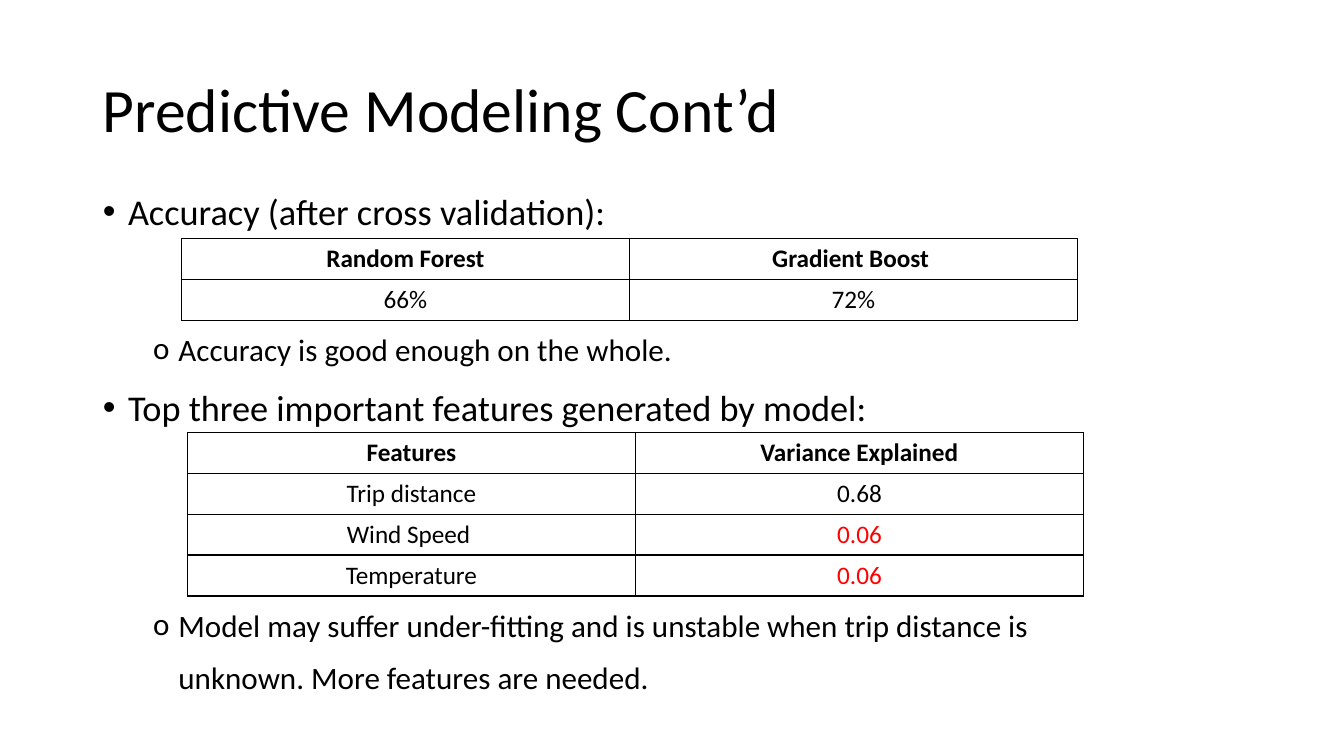
"""Builds the slide on predictive modelling accuracy and feature importance."""
from lxml import etree
from pptx import Presentation
from pptx import util as u
from pptx.dml import color
from pptx.enum import text
from pptx.oxml import ns

W, H = 13.33, 7.5
COLORS = {"ink": "000000", "alert": "FF0000"}
FONT = "Calibri"
COL, ROW = W / 3, 0.054 * H
BULLETS = {
    0: {"size": 25.9, "mark": "•", "face": "Arial", "indent": 0.25},
    1: {"size": 22.2, "mark": "o", "face": FONT, "indent": 0.75},
}
POINTS = [
    (0, 0, "Accuracy (after cross validation):"),
    (1, 59.2, "Accuracy is good enough on the whole."),
    (0, 0, "Top three important features generated by model:"),
    (1, 116.4, "Model may suffer under-fitting and is unstable when trip "
               "distance is unknown. More features are needed."),
]
ACCURACY = [("Random Forest", "Gradient Boost "), ("66%", "72%")]
FEATURES = [
    ("Features", "Variance Explained"),
    ("Trip distance", "0.68"),
    ("Wind Speed ", "0.06"),
    ("Temperature", "0.06"),
]


def apply(obj, values):
    """Set each named attribute on the object."""
    for name, value in values.items():
        setattr(obj, name, value)


def place(sp, left, top, width, height):
    """Position a shape by shares of the slide's size."""
    apply(sp, {"left": u.Inches(left * W), "top": u.Inches(top * H),
               "width": u.Inches(width * W), "height": u.Inches(height * H)})


def write(p, words, size, bold=False, ink="ink", **layout):
    """Fill a paragraph with one formatted run."""
    apply(p, layout)
    r = p.add_run()
    r.text = words
    apply(r.font, {"name": FONT, "size": u.Pt(size), "bold": bold})
    r.font.color.rgb = color.RGBColor.from_string(COLORS[ink])


def set_bullet(p, mark, face, indent):
    """Give a paragraph a hanging bullet."""
    pPr = p._p.get_or_add_pPr()
    pPr.set("marL", str(u.Inches(indent)))
    pPr.set("indent", str(u.Inches(-0.25)))
    etree.SubElement(pPr, ns.qn("a:buFont"), typeface=face)
    etree.SubElement(pPr, ns.qn("a:buChar"), char=mark)


def add_title(sp, words):
    """Place and fill the title."""
    place(sp, 0.069, 0.053, 0.863, 0.193)
    tf = sp.text_frame
    apply(tf, {"vertical_anchor": text.MSO_ANCHOR.MIDDLE,
               "auto_size": text.MSO_AUTO_SIZE.NONE})
    write(tf.paragraphs[0], words, 44, line_spacing=0.9,
          alignment=text.PP_ALIGN.LEFT)


def add_points(sp, points):
    """Place the body and list its points, with gaps for the tables."""
    place(sp, 0.069, 0.22, 0.778, 0.703)
    tf = sp.text_frame
    apply(tf, {"vertical_anchor": text.MSO_ANCHOR.TOP, "word_wrap": True,
               "auto_size": text.MSO_AUTO_SIZE.NONE})
    for i, (level, gap, words) in enumerate(points):
        p = tf.add_paragraph() if i else tf.paragraphs[0]
        style = BULLETS[level]
        write(p, words, style["size"], level=level, line_spacing=1.4,
              space_before=u.Pt(gap), space_after=u.Pt(0),
              alignment=text.PP_ALIGN.LEFT)
        set_bullet(p, style["mark"], style["face"], style["indent"])


def set_borders(cell):
    """Draw a thin line on every side of a cell."""
    tcPr = cell._tc.get_or_add_tcPr()
    for side in ("lnL", "lnR", "lnT", "lnB"):
        ln = etree.SubElement(tcPr, ns.qn(f"a:{side}"), w=str(u.Pt(1)))
        fill = etree.SubElement(ln, ns.qn("a:solidFill"))
        etree.SubElement(fill, ns.qn("a:srgbClr"), val=COLORS["ink"])


def add_grid(slide, left, top, rows, alerts=()):
    """Add a bordered table with a bold first row."""
    n, m = len(rows), len(rows[0])
    frame = slide.shapes.add_table(
        n, m, u.Inches(left * W), u.Inches(top * H),
        u.Inches(m * COL), u.Inches(n * ROW))
    table = frame.table
    apply(table, {"first_row": False, "horz_banding": False})
    for column in table.columns:
        column.width = u.Inches(COL)
    for i, row in enumerate(rows):
        table.rows[i].height = u.Inches(ROW)
        for j, words in enumerate(row):
            cell = table.cell(i, j)
            set_borders(cell)
            cell.fill.background()
            write(cell.text_frame.paragraphs[0], words, 18, bold=i == 0,
                  ink="alert" if (i, j) in alerts else "ink",
                  alignment=text.PP_ALIGN.CENTER)


def main():
    """Build and save the slide."""
    prs = Presentation()
    apply(prs, {"slide_width": u.Inches(W), "slide_height": u.Inches(H)})
    slide = prs.slides.add_slide(prs.slide_layouts[1])
    add_title(slide.shapes.title, "Predictive Modeling Cont’d")
    add_points(slide.placeholders[1], POINTS)
    add_grid(slide, 0.135, 0.316, ACCURACY)
    add_grid(slide, 0.1395, 0.572, FEATURES, alerts={(2, 1), (3, 1)})
    prs.save("out.pptx")


if __name__ == "__main__":
    main()
